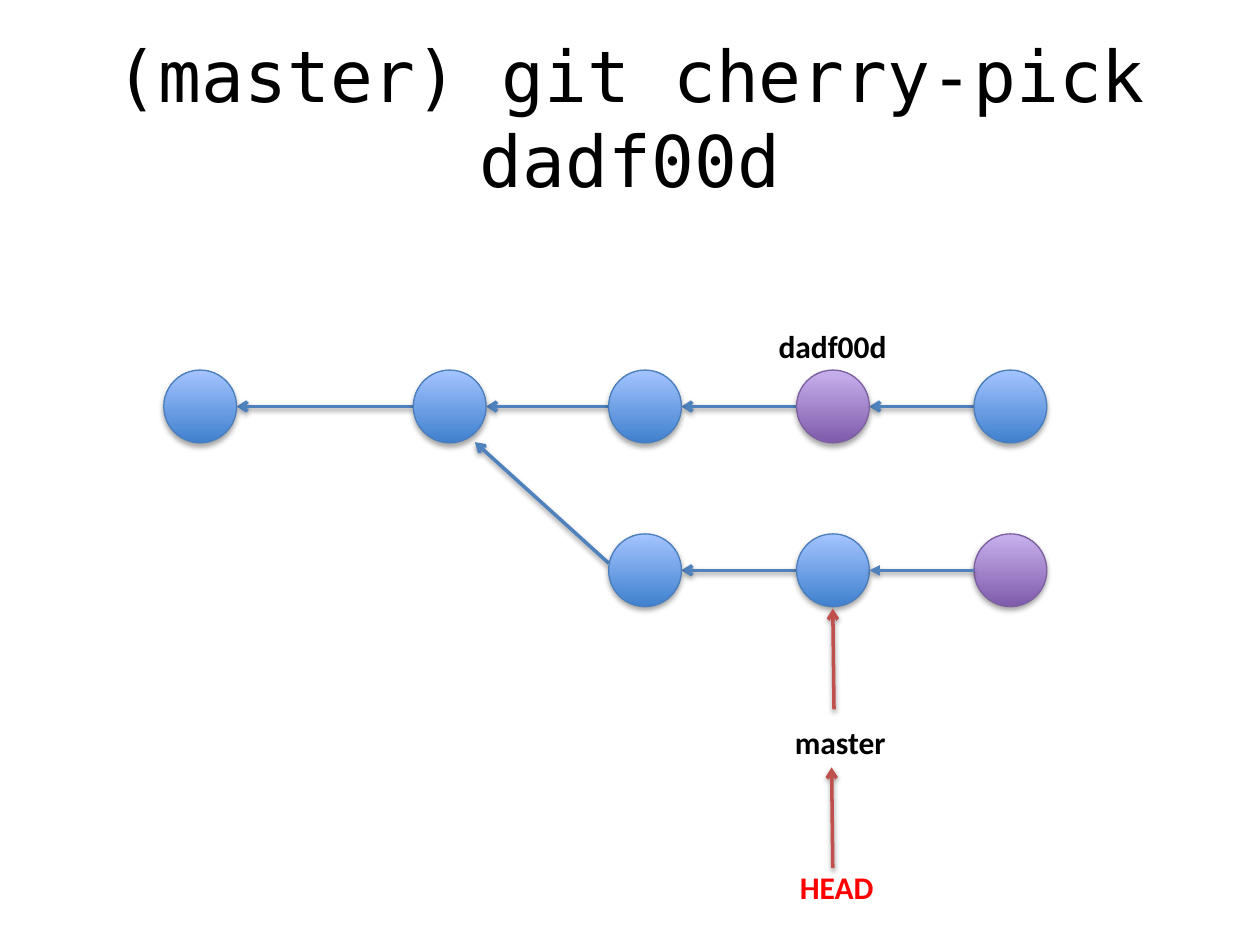
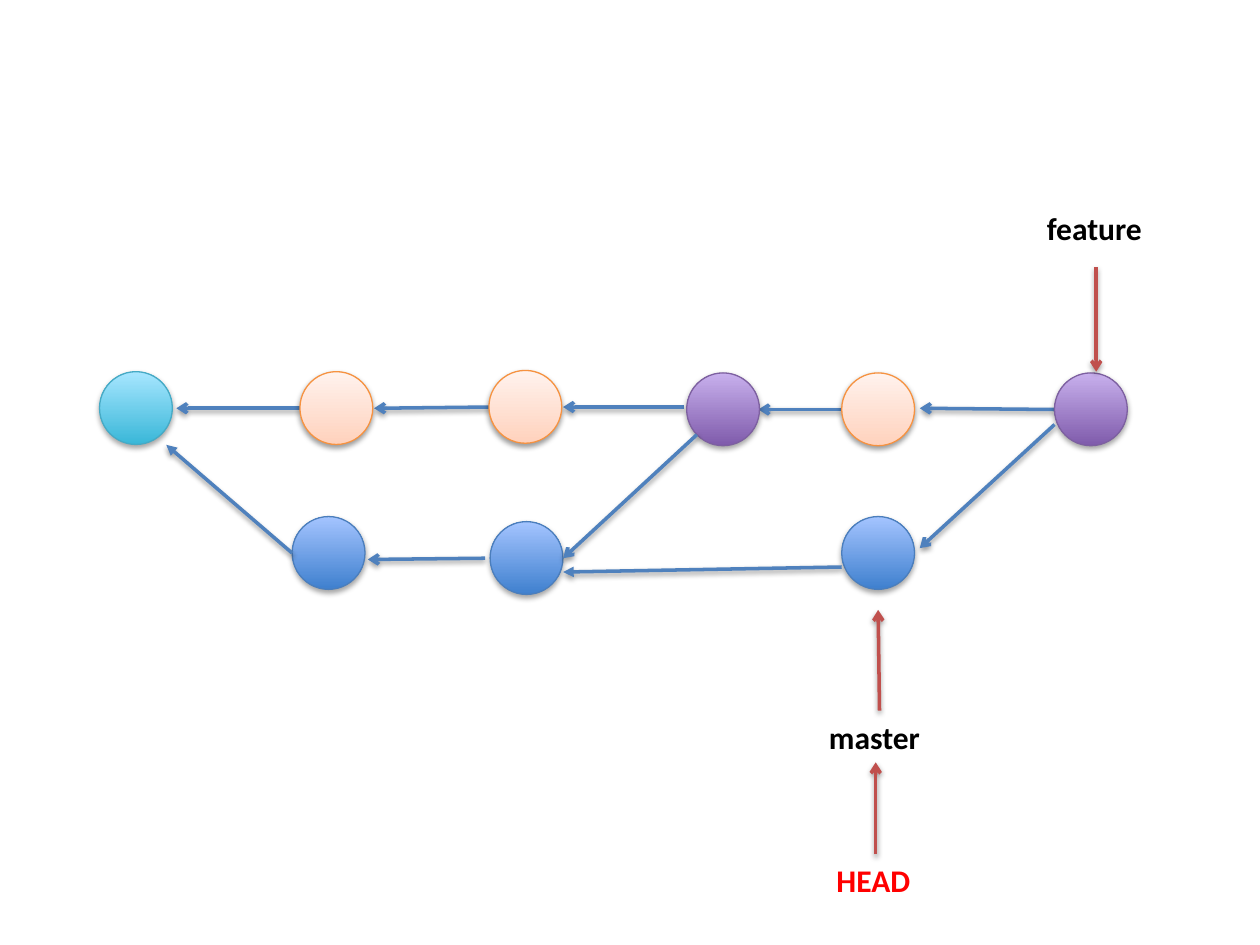
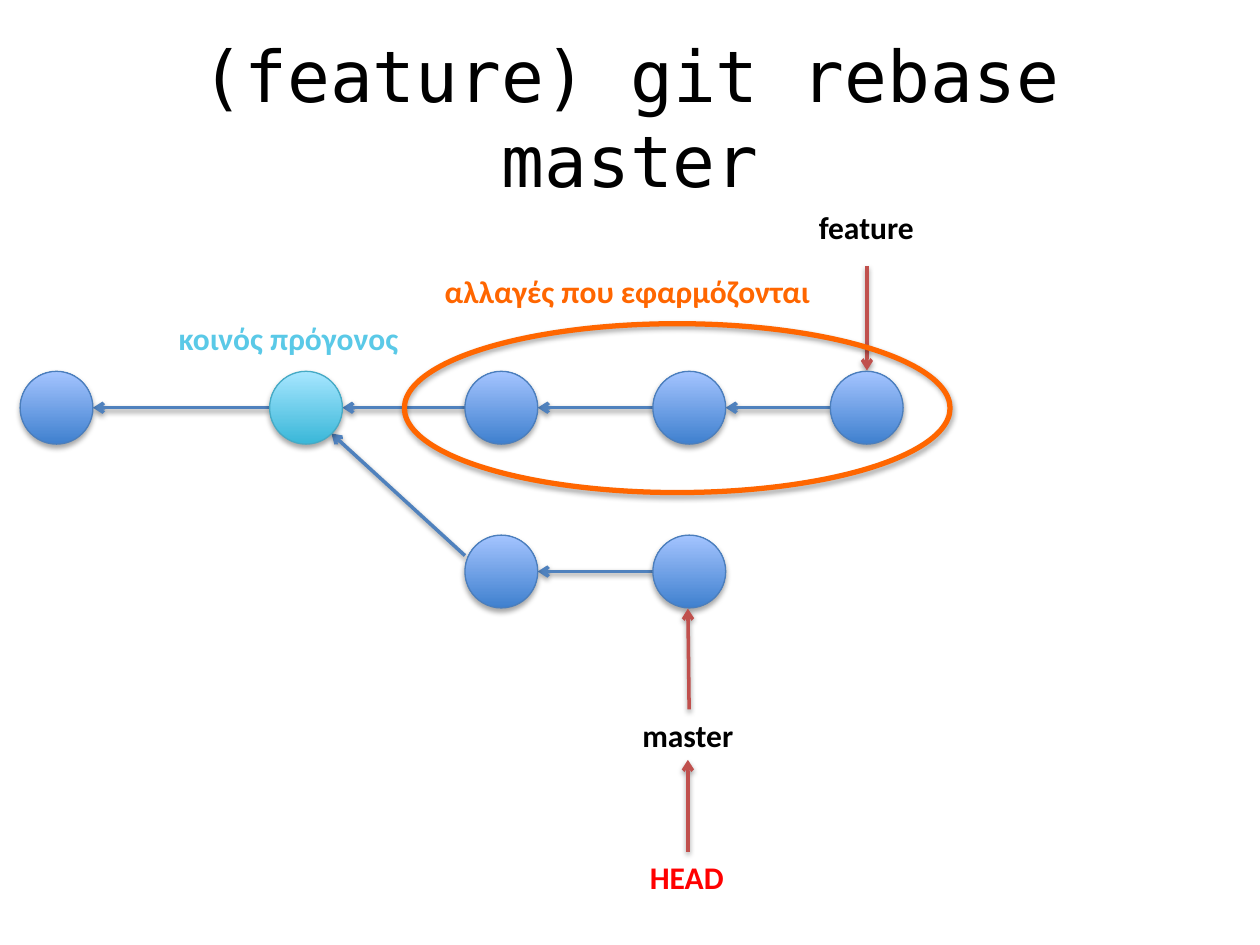
from pptx import Presentation
from pptx.dml.color import RGBColor
from pptx.enum.shapes import MSO_CONNECTOR, MSO_SHAPE
from pptx.enum.text import MSO_ANCHOR, MSO_AUTO_SIZE, PP_ALIGN
from pptx.oxml import parse_xml
from pptx.oxml.ns import nsdecls, qn
from pptx.util import Pt

ELLIPSE = MSO_SHAPE.OVAL
STRAIGHT = MSO_CONNECTOR.STRAIGHT
CENTER, LEFT = PP_ALIGN.CENTER, PP_ALIGN.LEFT
MIDDLE, TOP = MSO_ANCHOR.MIDDLE, MSO_ANCHOR.TOP

COLORS = {
    "text": "000000",
    "head": "FF0000",
    "link": "4F81BD",
    "pointer": "C0504D",
    "changes": "FF6600",
    "ancestor": "5AC9E7",
}
# Bottom colour, top colour, outline of each kind of commit
COMMITS = {
    "blue": ("3F80CE", "A4C4FF", "4B7EBC"),
    "purple": ("7F5BAB", "C8B0ED", "7D60A0"),
    "cyan": ("39B7D8", "A7E6FF", "46AAC5"),
    "peach": ("FFD2BD", "FFF2ED", "F69240"),
}
SHAPE_SHADOW = (35, 1.8)  # opacity in percent, distance in points
LINE_SHADOW = (38, 1.6)
DIAMETER = 41.6
COLUMNS = (0, 142.6, 254.2, 361.6, 463)
ROW_GAP = 93.6


def rgb(value):
    return RGBColor.from_string(value)


def cast_shadow(shape, opacity, distance):
    """Add a downward shadow; call it after fill and line are set."""
    shape._element.spPr.append(parse_xml(
        f'<a:effectLst {nsdecls("a")}><a:outerShdw blurRad="{Pt(3.1)}" '
        f'dist="{Pt(distance)}" dir="5400000" rotWithShape="0">'
        f'<a:srgbClr val="000000"><a:alpha val="{opacity * 1000}"/></a:srgbClr>'
        '</a:outerShdw></a:effectLst>'))


class GitDeck:
    """Holds the presentation, its style and the current slide."""

    def __init__(self):
        self.deck = Presentation()
        self.deck.slide_width, self.deck.slide_height = Pt(720), Pt(540)
        self.page = None

    def new_page(self):
        self.page = self.deck.slides.add_slide(self.deck.slide_layouts[6])

    def text(self, words, left, top, width, height=28.8, *, size=18, font="Calibri",
             color="text", bold=False, align=LEFT, anchor=TOP, wrap=False):
        box = self.page.shapes.add_textbox(Pt(left), Pt(top), Pt(width), Pt(height))
        frame = box.text_frame
        frame.word_wrap = wrap
        frame.auto_size = MSO_AUTO_SIZE.NONE if wrap else MSO_AUTO_SIZE.SHAPE_TO_FIT_TEXT
        frame.vertical_anchor = anchor
        para = frame.paragraphs[0]
        para.alignment = align
        span = para.add_run()
        span.text = words
        span.font.size, span.font.name, span.font.bold = Pt(size), font, bold
        span.font.color.rgb = rgb(COLORS[color])

    def title(self, words):
        self.text(words, 36, 21.6, 648, 90, size=40.7, font="DejaVu Sans Mono",
                  align=CENTER, anchor=MIDDLE, wrap=True)

    def label(self, words, left, top, width, color="text"):
        self.text(words, left, top, width, color=color, bold=True)

    def ellipse(self, left, top, width, height, outline, weight):
        shape = self.page.shapes.add_shape(ELLIPSE, Pt(left), Pt(top), Pt(width), Pt(height))
        shape.line.color.rgb = rgb(outline)
        shape.line.width = Pt(weight)
        return shape

    def commit(self, left, top, kind="blue"):
        bottom_color, top_color, outline = COMMITS[kind]
        shape = self.ellipse(left, top, DIAMETER, DIAMETER, outline, 0.75)
        shape.fill.gradient()
        shape.fill.gradient_angle = 90
        for stop, color in zip(shape.fill.gradient_stops, (bottom_color, top_color)):
            stop.color.rgb = rgb(color)
        cast_shadow(shape, *(LINE_SHADOW if kind == "peach" else SHAPE_SHADOW))

    def ring(self, left, top, width, height):
        shape = self.ellipse(left, top, width, height, COLORS["changes"], 3)
        shape.fill.background()
        cast_shadow(shape, *SHAPE_SHADOW)

    def arrow(self, start, end, color="link", head="arrow"):
        line = self.page.shapes.add_connector(STRAIGHT, *map(Pt, start + end))
        line.line.color.rgb = rgb(COLORS[color])
        line.line.width = Pt(2)
        line._element.spPr.find(qn("a:ln")).append(
            parse_xml(f'<a:tailEnd {nsdecls("a")} type="{head}"/>'))
        cast_shadow(line, *LINE_SHADOW)

    def pointer(self, start, end):
        self.arrow(start, end, color="pointer")

    def parent_link(self, left, previous_left, top, head="arrow"):
        """Link a commit to the one before it in the same row."""
        middle = top + DIAMETER / 2
        self.arrow((left, middle), (previous_left + DIAMETER, middle), head=head)

    def history(self, start, top, upper_kinds, fork_start, fork_end):
        """Draw a five-commit branch and a two-commit branch forked from it."""
        lefts = [start + column for column in COLUMNS]
        lower = top + ROW_GAP
        for previous, left in zip(lefts, lefts[1:]):
            self.parent_link(left, previous, top)
        self.arrow(fork_start, fork_end)
        self.parent_link(lefts[3], lefts[2], lower)
        for left, kind in zip(lefts, upper_kinds):
            self.commit(left, top, kind)
        for left in lefts[2:4]:
            self.commit(left, lower)
        return lefts, lower


def cherry_pick_page(git):
    git.new_page()
    git.title("(master) git cherry-pick dadf00d")
    lefts, lower = git.history(93.6, 211.5, ("blue", "blue", "blue", "purple", "blue"),
                               (347.8, 321.8), (271.4, 252.7))
    git.commit(lefts[4], lower, "purple")
    git.parent_link(lefts[4], lefts[3], lower, head="triangle")
    git.label("dadf00d", 437.8, 183.6, 77)
    git.label("master", 447.1, 409.7, 67.7)
    git.label("HEAD", 450, 492.5, 57.6, "head")
    git.pointer((476.6, 405.4), (475.9, 347.8))
    git.pointer((475.9, 496.1), (475.2, 438.5))


def merge_page(git):
    git.new_page()
    links = (
        ((171.4, 233.3), (100.8, 233.3)),
        ((279.9, 232.6), (213.8, 233.3)),
        ((391, 232.6), (321.8, 232.6)),
        ((481, 234), (433.4, 234)),
        ((602.6, 234), (525.6, 233.3)),
        ((277.2, 319), (210.2, 319.7)),
    )
    merge_links = (
        ((398.2, 248.4), (321.8, 319)),
        ((602.6, 242.6), (525.6, 313.2)),
    )
    triangle_links = (
        ((167, 316.1), (95, 254.2)),
        ((481, 324), (321.8, 326.9)),
    )
    commits = (
        (56.9, 212.4, "cyan"), (171.4, 212.4, "peach"), (279.4, 211.7, "peach"),
        (392.4, 213.1, "purple"), (481, 213.1, "peach"), (602.6, 213.1, "purple"),
        (167, 295.2, "blue"), (280.1, 298.1, "blue"), (481, 295.2, "blue"),
    )
    for start, end in links:
        git.arrow(start, end)
    for left, top, kind in commits:
        git.commit(left, top, kind)
    for start, end in merge_links:
        git.arrow(start, end)
    for start, end in triangle_links:
        git.arrow(start, end, head="triangle")
    git.label("feature", 591.1, 115.9, 69.8)
    git.label("master", 466.6, 406.8, 67.7)
    git.label("HEAD", 470.9, 488.2, 57.6, "head")
    git.pointer((626.4, 152.6), (626.4, 212.4))
    git.pointer((502.6, 406.1), (501.8, 348.5))
    git.pointer((500.4, 488.2), (500.4, 435.6))


def rebase_page(git):
    git.new_page()
    git.title("(feature) git rebase master")
    git.pointer((495.4, 151.9), (495.4, 211.7))
    git.history(11.5, 212.2, ("blue", "cyan", "blue", "blue", "blue"),
                (265.7, 317.5), (189.4, 247.7))
    git.ring(231.1, 185, 311.8, 96.5)
    git.label("αλλαγές που εφαρμόζονται", 247, 151.9, 226.1, "changes")
    git.label("κοινός πρόγονος", 95, 178.6, 141.8, "ancestor")
    git.label("feature", 460.8, 115.2, 69.8)
    git.label("master", 360, 405.4, 67.7)
    git.label("HEAD", 364.3, 486.7, 57.6, "head")
    git.pointer((393.8, 405.4), (393.1, 347.8))
    git.pointer((393.1, 486.7), (393.1, 434.2))


def main():
    git = GitDeck()
    cherry_pick_page(git)
    merge_page(git)
    rebase_page(git)
    git.deck.save("out.pptx")


if __name__ == "__main__":
    main()
